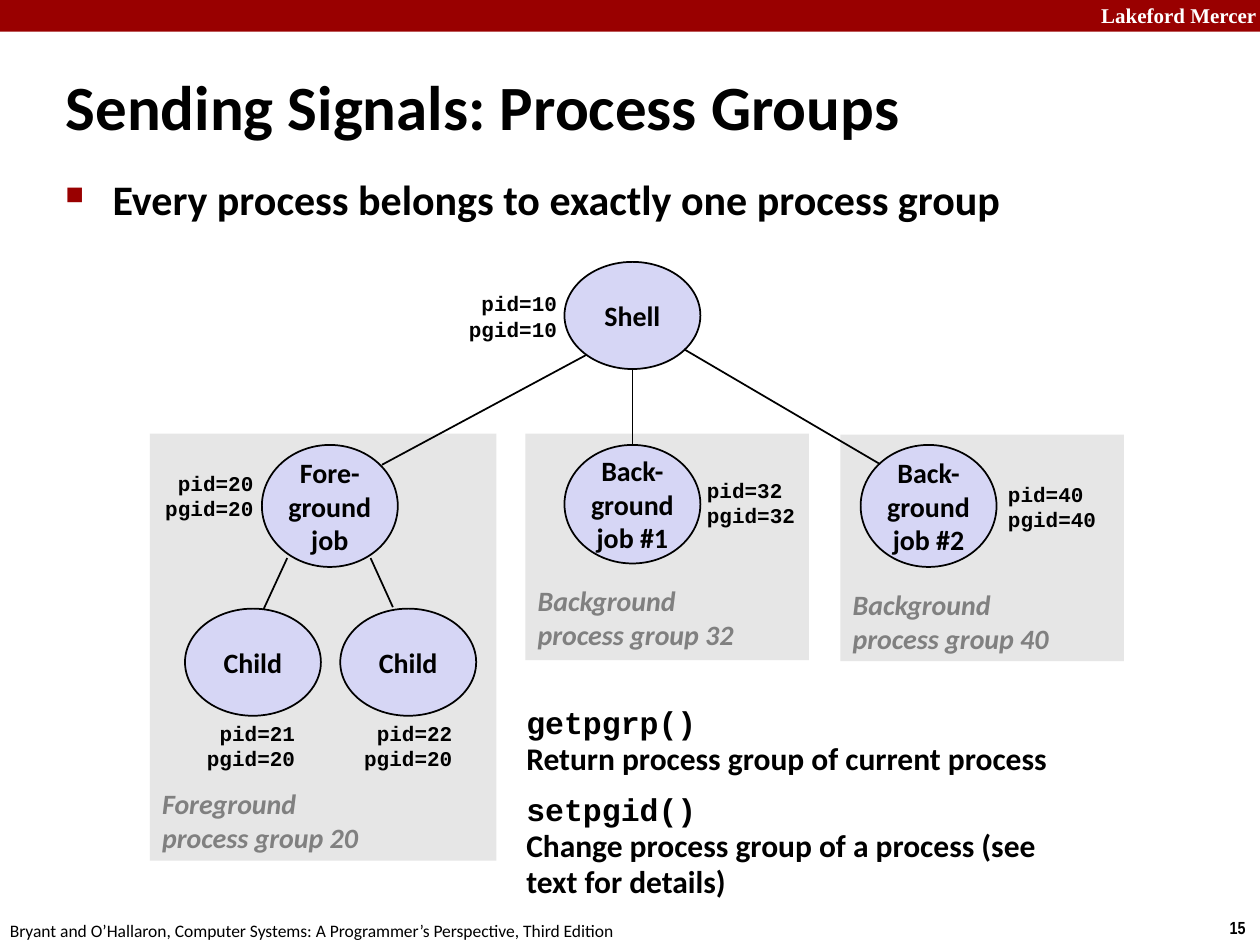
import dataclasses

import lxml.etree
import pptx
import pptx.dml.color
import pptx.enum.shapes
import pptx.enum.text
import pptx.oxml.ns
import pptx.util

Cm = pptx.util.Cm
Pt = pptx.util.Pt
ALIGN = pptx.enum.text.PP_ALIGN
ANCHOR = pptx.enum.text.MSO_ANCHOR
SHAPE = pptx.enum.shapes.MSO_SHAPE


@dataclasses.dataclass(frozen=True)
class Theme:
    """Colours, fonts and text formats of the slide."""

    red: str = "990000"
    white: str = "FFFFFF"
    black: str = "000000"
    gray: str = "808080"
    panel: str = "E6E6E6"
    lavender: str = "D6D6F5"
    sans: str = "Calibri"
    mono: str = "Courier New"

    def style(self, size, name=None, color=None, **extra):
        """Return the format values of one kind of text."""
        return {"size": Pt(size), "name": name or self.sans, "bold": True,
                "color": color or self.black, **extra}


THEME = Theme()
TITLE = THEME.style(36)
BULLET = THEME.style(24)
NODE = THEME.style(16)
CAPTION = THEME.style(16, color=THEME.gray, italic=True)
LABEL = THEME.style(12, THEME.mono)
CODE = THEME.style(18, THEME.mono)
NOTE = THEME.style(18)
HEADER = THEME.style(12, "Times New Roman", THEME.white)
NUMBER = THEME.style(10, "Arial Narrow")
FOOTER = THEME.style(10, bold=False)


def rgb(value):
    """Return a colour object for a hex string."""
    return pptx.dml.color.RGBColor.from_string(value)


def add_span(para, text, style):
    """Append formatted text to a paragraph."""
    span = para.add_run()
    span.text = text
    for key, value in style.items():
        if key == "color":
            span.font.color.rgb = rgb(value)
        else:
            setattr(span.font, key, value)


def write(frame, lines, style, align=ALIGN.LEFT, anchor=ANCHOR.MIDDLE, wrap=False):
    """Fill a text frame with one paragraph per line."""
    settings = {"word_wrap": wrap, "vertical_anchor": anchor,
                "auto_size": pptx.enum.text.MSO_AUTO_SIZE.NONE}
    for key, value in settings.items():
        setattr(frame, key, value)
    for index, line in enumerate(lines):
        para = frame.add_paragraph() if index else frame.paragraphs[0]
        para.alignment = align
        add_span(para, line, style)


def add_text(page, place, lines, style, **layout):
    """Add a text box at a place given in centimetres."""
    box = page.shapes.add_textbox(*map(Cm, place))
    write(box.text_frame, lines, style, **layout)
    return box


def add_figure(page, kind, place, fill):
    """Add a flat filled shape without outline."""
    figure = page.shapes.add_shape(kind, *map(Cm, place))
    figure.shadow.inherit = False
    figure.fill.solid()
    figure.fill.fore_color.rgb = rgb(fill)
    figure.line.fill.background()
    return figure


def add_process(page, place, lines):
    """Add an outlined process ellipse with centred text."""
    node = add_figure(page, SHAPE.OVAL, place, THEME.lavender)
    node.line.color.rgb = rgb(THEME.black)
    node.line.width = Pt(1)
    write(node.text_frame, lines, NODE, ALIGN.CENTER)


def add_branch(page, ends):
    """Add a straight line from parent to child."""
    branch = page.shapes.add_connector(
        pptx.enum.shapes.MSO_CONNECTOR.STRAIGHT, *map(Cm, ends))
    branch.line.color.rgb = rgb(THEME.black)
    branch.line.width = Pt(1)
    lxml.etree.SubElement(branch.element.spPr, pptx.oxml.ns.qn("a:effectLst"))


def add_title(page, text):
    """Move and format the title placeholder."""
    title = page.shapes.title
    place = {"left": 1.07, "top": 1.07, "width": 21.08, "height": 2.11}
    for key, value in place.items():
        setattr(title, key, Cm(value))
    write(title.text_frame, [text], TITLE, wrap=True)


def add_bullet(page, text):
    """Add the bulleted statement below the title."""
    qn = pptx.oxml.ns.qn
    box = add_text(page, (1.07, 3.38, 21.44, 1.7), [text], BULLET,
                   anchor=ANCHOR.TOP, wrap=True)
    props = box.text_frame.paragraphs[0]._p.get_or_add_pPr()
    props.set("marL", str(Cm(0.95)))
    props.set("indent", str(-Cm(0.95)))
    color = lxml.etree.SubElement(props, qn("a:buClr"))
    lxml.etree.SubElement(color, qn("a:srgbClr"), val=THEME.red)
    lxml.etree.SubElement(props, qn("a:buSzPct"), val="60000")
    lxml.etree.SubElement(props, qn("a:buChar"), char="■")


def add_functions(page, entries):
    """Add function names, each followed by its description."""
    box = add_text(page, (10.36, 14.1, 11.43, 4.32), [], NOTE,
                   anchor=ANCHOR.TOP, wrap=True)
    for index, (name, meaning) in enumerate(entries):
        para = box.text_frame.add_paragraph() if index else box.text_frame.paragraphs[0]
        para.line_spacing = 0.95
        para.space_before = Pt(9 if index else 0)
        add_span(para, name, CODE)
        para.add_line_break()
        add_span(para, meaning, NOTE)


def add_frame(page):
    """Add the header bar, page number and footer."""
    add_figure(page, SHAPE.RECTANGLE, (0, 0, 25.4, 0.64), THEME.red)
    for place, text, style in (
            ((21.95, -0.08, 3.63, 0.76), "Lakeford Mercer", HEADER),
            ((24.54, 18.36, 0.86, 0.69), "15", NUMBER),
            ((-0.05, 18.42, 12.9, 0.69), "Bryant and O’Hallaron, Computer Systems: "
             "A Programmer’s Perspective, Third Edition", FOOTER)):
        add_text(page, place, [text], style, anchor=ANCHOR.TOP)


def add_tree(page):
    """Add the process tree with its groups and identifiers."""
    for place in ((16.94, 8.76, 5.72, 4.57), (10.59, 8.74, 5.72, 4.57),
                  (3.02, 8.74, 6.99, 8.61)):
        add_figure(page, SHAPE.RECTANGLE, place, THEME.panel)
    for left, top, height, lines in (
            (5.28, 8.97, 2.46, ("Fore-", "ground", "job")),
            (11.38, 8.97, 2.39, ("Back-", "ground", "job #1")),
            (17.35, 8.97, 2.46, ("Back-", "ground", "job #2")),
            (11.38, 5.28, 2.16, ("Shell",)),
            (3.73, 12.27, 2.16, ("Child",)),
            (6.86, 12.27, 2.16, ("Child",))):
        add_process(page, (left, top, 2.74, height), lines)
    for ends in ((5.79, 11.25, 5.31, 12.29), (7.47, 11.25, 7.92, 12.24),
                 (12.75, 7.42, 12.75, 8.97), (11.81, 7.16, 7.7, 9.37),
                 (13.79, 7.04, 17.73, 9.35)):
        add_branch(page, ends)
    for left, top, pid, group, align in (
            (9.17, 5.74, 10, 10, ALIGN.RIGHT), (3.05, 9.35, 20, 20, ALIGN.RIGHT),
            (14, 9.5, 32, 32, ALIGN.LEFT), (20.07, 9.58, 40, 40, ALIGN.LEFT),
            (3.89, 14.4, 21, 20, ALIGN.RIGHT), (7.06, 14.4, 22, 20, ALIGN.RIGHT)):
        add_text(page, (left, top, 2.31, 1.27), (f"pid={pid}", f"pgid={group}"),
                 LABEL, align=align)
    for left, top, kind, group in ((3.02, 15.72, "Foreground", 20),
                                   (10.59, 11.63, "Background", 32),
                                   (16.94, 11.71, "Background", 40)):
        add_text(page, (left, top, 4.52, 1.63),
                 (kind, f"process group {group}"), CAPTION)


def main():
    """Build and save the slide."""
    deck = pptx.Presentation()
    deck.slide_width, deck.slide_height = Cm(25.4), Cm(19.05)
    page = deck.slides.add_slide(deck.slide_layouts[5])
    add_frame(page)
    add_title(page, "Sending Signals: Process Groups")
    add_bullet(page, "Every process belongs to exactly one process group")
    add_tree(page)
    add_functions(page, (
        ("getpgrp()", "Return process group of current process"),
        ("setpgid()", "Change process group of a process (see text for details)")))
    deck.save("out.pptx")


if __name__ == "__main__":
    main()
